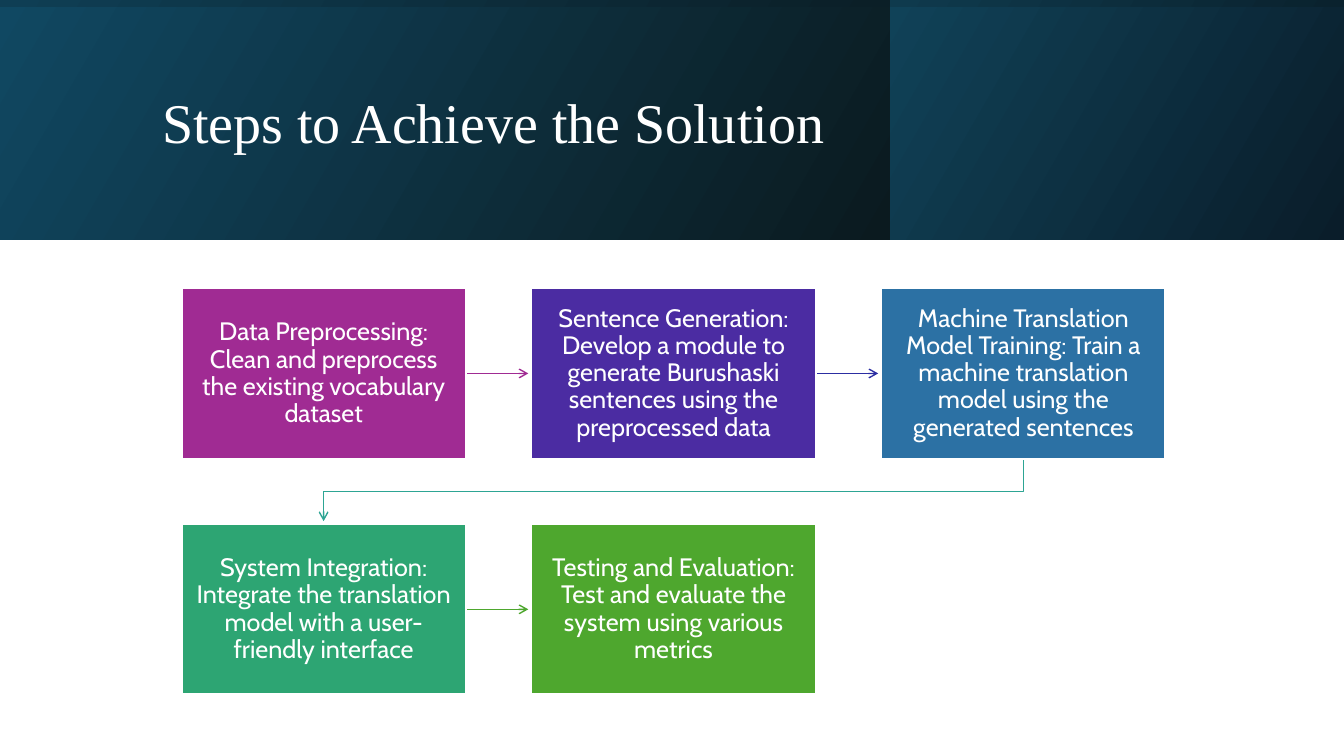
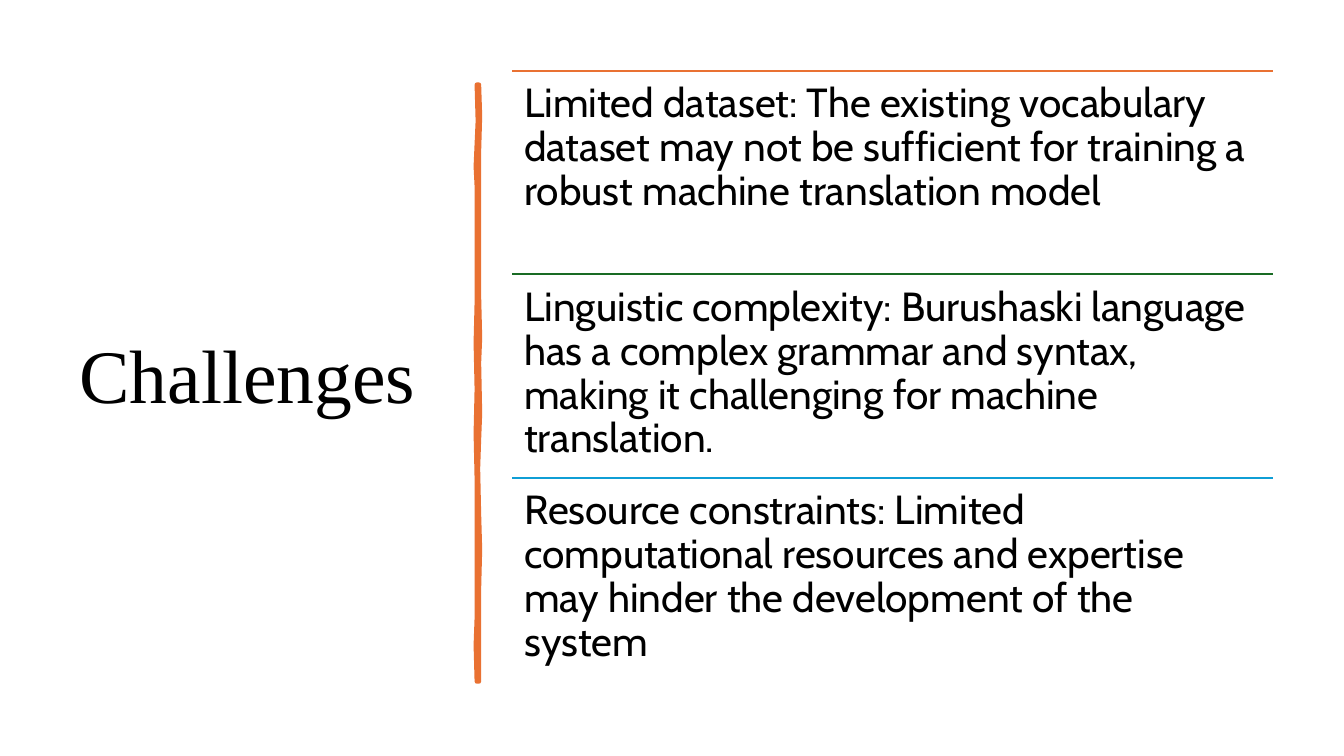
from lxml.etree import SubElement
from pptx import Presentation
from pptx.dml.color import RGBColor
from pptx.enum.shapes import MSO_CONNECTOR, MSO_SHAPE
from pptx.enum.text import MSO_ANCHOR, PP_ALIGN
from pptx.oxml.ns import qn
from pptx.util import Inches, Pt

WIDTH, HEIGHT = 13.33, 7.5
TITLE_FONT, BODY_FONT = "Times New Roman", "Cabin"
WHITE, BLACK = RGBColor(255, 255, 255), RGBColor(0, 0, 0)
ORANGE = RGBColor(0xE9, 0x71, 0x32)
GREEN = RGBColor(0x19, 0x6B, 0x24)
BLUE = RGBColor(0x0F, 0x9E, 0xD5)

# Step text, box colour, colour of the arrow to the next step
STEPS = [
    ("Data Preprocessing: Clean and preprocess the existing vocabulary dataset",
     RGBColor(0xA0, 0x2B, 0x93), RGBColor(0xA0, 0x2B, 0x93)),
    ("Sentence Generation: Develop a module to generate Burushaski sentences "
     "using the preprocessed data",
     RGBColor(0x4B, 0x2C, 0xA2), RGBColor(0x2C, 0x2E, 0xA2)),
    ("Machine Translation Model Training: Train a machine translation model "
     "using the generated sentences",
     RGBColor(0x2C, 0x71, 0xA4), RGBColor(0x2D, 0xA5, 0x94)),
    ("System Integration: Integrate the translation model with a user-friendly interface",
     RGBColor(0x2D, 0xA5, 0x73), RGBColor(0x4E, 0xA7, 0x2E)),
    ("Testing and Evaluation: Test and evaluate the system using various metrics",
     RGBColor(0x4E, 0xA7, 0x2E), None),
]
COLUMNS = 3
GRID_LEFT, GRID_TOP = 1.8, 2.86
BOX_WIDTH, BOX_HEIGHT = 2.82, 1.69
STEP_X, STEP_Y = 3.47, 2.34
ARROW_GAP = 0.03

# Header panels: left, width, height, start colour, end colour
BAND_HEIGHT, BAND_SPLIT = 2.38, 8.83
PANELS = [
    (0, BAND_SPLIT, BAND_HEIGHT, RGBColor(0x10, 0x48, 0x62), RGBColor(0x0B, 0x1A, 0x1F)),
    (BAND_SPLIT, WIDTH - BAND_SPLIT, BAND_HEIGHT,
     RGBColor(0x10, 0x42, 0x58), RGBColor(0x0A, 0x1D, 0x2A)),
    (0, BAND_SPLIT, 0.07, RGBColor(0x0F, 0x3E, 0x54), RGBColor(0x0B, 0x1F, 0x27)),
    (BAND_SPLIT, WIDTH - BAND_SPLIT, 0.07,
     RGBColor(0x0F, 0x3A, 0x4D), RGBColor(0x0A, 0x22, 0x2E)),
]

CHALLENGES = [
    ("Limited dataset: The existing vocabulary dataset may not be sufficient "
     "for training a robust machine translation model", ORANGE),
    ("Linguistic complexity: Burushaski language has a complex grammar and syntax, "
     "making it challenging for machine translation.", GREEN),
    ("Resource constraints: Limited computational resources and expertise may "
     "hinder the development of the system", BLUE),
]
LIST_LEFT, LIST_TOP, LIST_WIDTH, ROW_HEIGHT = 5.08, 0.7, 7.55, 2.02

# Brush stroke edges, as (x, y)
BRUSH_RIGHT = [(4.75, 0.84), (4.76, 1.15), (4.75, 1.5), (4.75, 2.26), (4.75, 2.94),
               (4.76, 3.35), (4.75, 3.6), (4.76, 4.1), (4.75, 4.36), (4.74, 4.65),
               (4.75, 5.1), (4.76, 5.45), (4.75, 5.84), (4.75, 6.3), (4.75, 6.76)]
BRUSH_LEFT = [(4.73, 6.76), (4.72, 6.4), (4.73, 6.13), (4.73, 5.4), (4.73, 4.75),
              (4.72, 4.3), (4.73, 3.86), (4.72, 3.4), (4.73, 3), (4.73, 2.4),
              (4.73, 1.85), (4.72, 1.65), (4.74, 1.2), (4.73, 0.84)]


def write(shape, text, font, size, color, inset=(0.1, 0.05),
          align=PP_ALIGN.LEFT, anchor=MSO_ANCHOR.MIDDLE):
    frame = shape.text_frame
    frame.word_wrap = True
    frame.vertical_anchor = anchor
    frame.margin_left = frame.margin_right = Inches(inset[0])
    frame.margin_top = frame.margin_bottom = Inches(inset[1])
    para = frame.paragraphs[0]
    para.alignment, para.line_spacing = align, 0.9
    span = para.add_run()
    span.text = text
    span.font.name, span.font.size = font, Pt(size)
    span.font.color.rgb = color


def add_text(page, area, *args, **options):
    write(page.shapes.add_textbox(*map(Inches, area)), *args, **options)


def add_box(page, area):
    box = page.shapes.add_shape(MSO_SHAPE.RECTANGLE, *map(Inches, area))
    box.shadow.inherit = False
    return box


def set_line(shape, color, width):
    shape.line.color.rgb = color
    shape.line.width = Pt(width)


def add_arrowhead(shape):
    SubElement(shape.line._get_or_add_ln(), qn("a:tailEnd"), type="arrow")


def add_line(page, start, end, color, width):
    line = page.shapes.add_connector(MSO_CONNECTOR.STRAIGHT, *map(Inches, start + end))
    set_line(line, color, width)
    SubElement(line._element.spPr, qn("a:effectLst"))
    return line


def add_outline(page, points, color, width, close):
    corners = [(Inches(x), Inches(y)) for x, y in points]
    builder = page.shapes.build_freeform(*corners[0])
    builder.add_line_segments(corners[1:], close=close)
    outline = builder.convert_to_shape()
    outline.shadow.inherit = False
    set_line(outline, color, width)
    return outline


def add_panel(page, left, width, height, start, end):
    panel = add_box(page, (left, 0, width, height))
    panel.line.fill.background()
    panel.fill.gradient()
    panel.fill.gradient_angle = 330
    for stop, color, position in zip(panel.fill.gradient_stops, (start, end), (0, 1)):
        stop.color.rgb, stop.position = color, position


def step_corner(index):
    row, column = divmod(index, COLUMNS)
    return GRID_LEFT + column * STEP_X, GRID_TOP + row * STEP_Y


def add_step_arrow(page, index, color):
    left, top = step_corner(index)
    next_left, next_top = step_corner(index + 1)
    if top == next_top:
        middle = top + BOX_HEIGHT / 2
        arrow = add_line(page, (left + BOX_WIDTH + ARROW_GAP / 2, middle),
                         (next_left - ARROW_GAP, middle), color, 1)
    else:
        start_x, end_x = left + BOX_WIDTH / 2, next_left + BOX_WIDTH / 2
        bottom = top + BOX_HEIGHT
        turn = (bottom + next_top) / 2
        arrow = add_outline(page, [(start_x, bottom + ARROW_GAP / 2), (start_x, turn),
                                   (end_x, turn), (end_x, next_top - ARROW_GAP)],
                            color, 1, close=False)
        arrow.fill.background()
    add_arrowhead(arrow)


def build_steps(page):
    for panel in PANELS:
        add_panel(page, *panel)
    add_text(page, (1.51, 0.38, 10.63, 1.72), "Steps to Achieve the Solution",
             TITLE_FONT, 40, WHITE)
    for index, (text, fill, arrow_color) in enumerate(STEPS):
        box = add_box(page, (*step_corner(index), BOX_WIDTH, BOX_HEIGHT))
        box.fill.solid()
        box.fill.fore_color.rgb = fill
        set_line(box, WHITE, 1.5)
        write(box, text, BODY_FONT, 18, WHITE, (0.14, 0.15), PP_ALIGN.CENTER)
        if arrow_color is not None:
            add_step_arrow(page, index, arrow_color)


def build_challenges(page):
    add_text(page, (0.69, 0.7, 3.74, 6.11), "Challenges", TITLE_FONT, 54, BLACK)
    brush = add_outline(page, BRUSH_RIGHT + BRUSH_LEFT, ORANGE, 3.25, close=True)
    brush.fill.solid()
    brush.fill.fore_color.rgb = ORANGE
    for row, (text, color) in enumerate(CHALLENGES):
        top = LIST_TOP + row * ROW_HEIGHT
        add_line(page, (LIST_LEFT, top), (LIST_LEFT + LIST_WIDTH, top), color, 1.5)
        add_text(page, (LIST_LEFT, top, LIST_WIDTH, ROW_HEIGHT), text, BODY_FONT, 29,
                 BLACK, inset=(0.12, 0.12), anchor=MSO_ANCHOR.TOP)


def main():
    deck = Presentation()
    deck.slide_width, deck.slide_height = Inches(WIDTH), Inches(HEIGHT)
    for build in (build_steps, build_challenges):
        build(deck.slides.add_slide(deck.slide_layouts[6]))
    deck.save("out.pptx")


if __name__ == "__main__":
    main()
